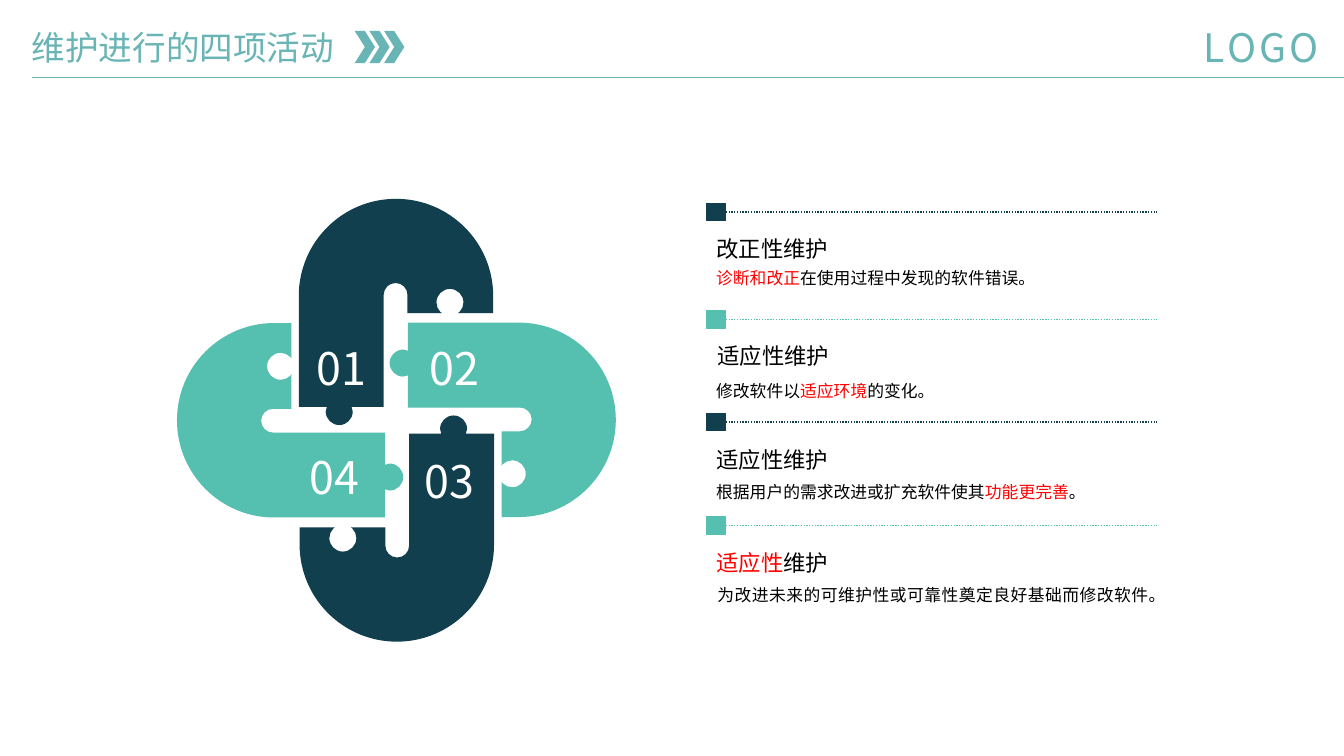
import math
from dataclasses import dataclass
from itertools import chain, pairwise

from lxml import etree
from pptx import Presentation
from pptx.dml.color import RGBColor
from pptx.enum import dml, shapes, text
from pptx.oxml import ns
from pptx.util import Cm, Pt

FONT = "Noto Sans CJK SC"
DARK, TEAL, HEADER = "113F4E", "55C0AF", "69B4B4"
BLACK, RED, WHITE = "000000", "FF0000", "FFFFFF"
Point = tuple[float, float]
Segment = tuple[Point, ...]  # one point for a line, three for a curve
Run = tuple[str, str]  # wording, colour


@dataclass
class Piece:
    number: str
    colour: str
    centre: Point
    rotation: int
    label_at: Point
    label_width: float


@dataclass
class Activity:
    colour: str
    marker_top: float
    heading_at: Point
    heading: list[Run]
    detail_at: Point
    detail: list[Run]


PIECES = [
    Piece("04", TEAL, (7.31, 10.59), 180, (7.32, 11.19), 2.24),
    Piece("01", DARK, (9.98, 7.86), 270, (7.62, 8.45), 1.98),
    Piece("02", TEAL, (12.67, 10.58), 0, (10.34, 8.45), 2.24),
    Piece("03", DARK, (10, 13.32), 90, (10.21, 11.3), 2.24),
]
ACTIVITIES = [
    Activity(DARK, 5.13, (17.81, 5.65), [("改正性维护", BLACK)],
             (17.8, 6.5), [("诊断和改正", RED), ("在使用过程中发现的软件错误。", BLACK)]),
    Activity(TEAL, 7.84, (17.83, 8.36), [("适应性维护", BLACK)],
             (17.8, 9.34), [("修改软件以", BLACK), ("适应环境", RED), ("的变化。", BLACK)]),
    Activity(DARK, 10.42, (17.81, 10.97), [("适应性维护", BLACK)],
             (17.8, 11.88), [("根据用户的需求改进或扩充软件使其", BLACK),
                             ("功能更完善", RED), ("。", BLACK)]),
    Activity(TEAL, 13.03, (17.81, 13.56), [("适应性", RED), ("维护", BLACK)],
             (17.83, 14.49), [("为改进未来的可维护性或可靠性奠定良好基础而修改软件。", BLACK)]),
]
PIECE_WIDTH, PIECE_HEIGHT = 5.7, 4.9
MARKER_WIDTH, MARKER_HEIGHT = 0.48, 0.43


def rgb(colour: str) -> RGBColor:
    return RGBColor.from_string(colour)


def paint(shape, colour: str, outline: float = 0) -> None:
    shape.shadow.inherit = False
    shape.fill.solid()
    shape.fill.fore_color.rgb = rgb(colour)
    if outline:
        shape.line.color.rgb = rgb(colour)
        shape.line.width = Pt(outline)
    else:
        shape.line.fill.background()


def write(frame, runs: list[Run], size: float, align, spacing: float = 1.0,
          tracking: float = 0) -> None:
    frame.vertical_anchor = text.MSO_ANCHOR.MIDDLE
    paragraph = frame.paragraphs[0]
    paragraph.alignment = align
    paragraph.line_spacing = spacing
    for wording, colour in runs:
        run = paragraph.add_run()
        run.text = wording
        run.font.size = Pt(size)
        run.font.name = FONT
        run.font.color.rgb = rgb(colour)
        properties = run.font._element
        etree.SubElement(properties, ns.qn("a:ea")).set("typeface", FONT)
        if tracking:
            properties.set("spc", str(round(tracking * 100)))


def add_text(slide, at: Point, width: float, height: float, runs: list[Run],
             size: float, align, spacing: float = 1.0, tracking: float = 0,
             wrap: bool = True) -> None:
    box = slide.shapes.add_textbox(Cm(at[0]), Cm(at[1]), Cm(width), Cm(height))
    box.text_frame.word_wrap = wrap
    write(box.text_frame, runs, size, align, spacing, tracking)


def add_rule(slide, start: Point, end: Point, colour: str, width: float):
    rule = slide.shapes.add_connector(
        shapes.MSO_CONNECTOR.STRAIGHT, Cm(start[0]), Cm(start[1]), Cm(end[0]), Cm(end[1]))
    rule.line.color.rgb = rgb(colour)
    rule.line.width = Pt(width)
    etree.SubElement(rule._element.spPr, ns.qn("a:effectLst"))
    return rule


def arc(x: float, y: float, radius: float, *stops: int) -> list[Segment]:
    """A line to the first angle in degrees, then one Bézier curve to each further one."""
    def at(angle: float, along: float = 0) -> Point:
        cos, sin = math.cos(angle), math.sin(angle)
        return x + radius * (cos - along * sin), y + radius * (sin + along * cos)

    angles = [math.radians(stop) for stop in stops]
    segments: list[Segment] = [(at(angles[0]),)]
    for start, end in pairwise(angles):
        pull = 4 / 3 * math.tan((end - start) / 4)
        segments.append((at(start, pull), at(end, -pull), at(end)))
    return segments


def lines(*points: Point) -> list[Segment]:
    return [(point,) for point in points]


def piece_outline() -> list[Segment]:
    socket = arc(3.09, 3.81, 0.34, 135, 90, 0, -90, -135)
    slot_end = arc(3.28, 2.44, 0.3, 90, 0, -90)
    tab = arc(0.34, 1.02, 0.34, 90, 180, 270)
    round_end = arc(3.25, 2.45, 2.45, -90, 0, 90)
    return [*lines((2.82, 4.9), (2.82, 4.01)), *socket, *lines((2.82, 3.61), (2.82, 2.74)),
            *slot_end, *lines((0.46, 2.14), (0.46, 1.33)), *tab,
            *lines((0.46, 0.71), (0.46, 0)), *round_end]


def add_piece(slide, piece: Piece) -> None:
    segments = piece_outline()
    first, *rest = [(Cm(x), Cm(y)) for x, y in chain.from_iterable(segments)]
    builder = slide.shapes.build_freeform(*first)
    builder.add_line_segments(rest, close=True)
    x, y = piece.centre
    outline = builder.convert_to_shape(Cm(x - PIECE_WIDTH / 2), Cm(y - PIECE_HEIGHT / 2))
    steps = iter(list(outline._element.iter(ns.qn("a:lnTo"))))
    for segment in segments[1:]:
        step, *others = [next(steps) for _ in segment]
        if others:
            step.tag = ns.qn("a:cubicBezTo")
        for other in others:
            step.append(other[0])
            other.getparent().remove(other)
    outline.rotation = piece.rotation
    paint(outline, piece.colour)


def add_activity(slide, activity: Activity) -> None:
    marker = slide.shapes.add_shape(shapes.MSO_SHAPE.RECTANGLE, Cm(17.81),
                                    Cm(activity.marker_top), Cm(MARKER_WIDTH), Cm(MARKER_HEIGHT))
    paint(marker, activity.colour, outline=1)
    middle = activity.marker_top + MARKER_HEIGHT / 2
    rule = add_rule(slide, (18.29, middle), (29.16, middle), activity.colour, 1)
    rule.line.dash_style = dml.MSO_LINE.ROUND_DOT
    rule.begin_connect(marker, 3)
    justify = text.PP_ALIGN.JUSTIFY
    add_text(slide, activity.heading_at, 11.38, 1.02, activity.heading, 16, justify, 1.3)
    add_text(slide, activity.detail_at, 11.38, 0.86, activity.detail, 12, justify, 1.3)


def add_header(slide) -> None:
    add_rule(slide, (0.81, 1.96), (33.87, 1.96), HEADER, 0.5)
    title = slide.shapes.title
    title.left, title.top, title.width, title.height = Cm(0.8), Cm(0.68), Cm(7.77), Cm(1.02)
    frame = title.text_frame
    frame.margin_left = frame.margin_right = frame.margin_top = frame.margin_bottom = 0
    frame.word_wrap = True
    frame.auto_size = text.MSO_AUTO_SIZE.NONE
    write(frame, [("维护进行的四项活动", HEADER)], 24, text.PP_ALIGN.LEFT)
    for i in range(3):
        chevron = slide.shapes.add_shape(shapes.MSO_SHAPE.CHEVRON, Cm(8.94 + 0.37 * i),
                                         Cm(0.78), Cm(0.51), Cm(0.81))
        paint(chevron, HEADER)
    add_text(slide, (30.08, 0.49), 3.61, 1.4, [("LOGO", HEADER)], 28,
             text.PP_ALIGN.LEFT, tracking=2.5, wrap=False)


def main() -> None:
    deck = Presentation()
    deck.slide_width, deck.slide_height = Cm(33.87), Cm(19.05)
    slide = deck.slides.add_slide(deck.slide_layouts[5])
    add_header(slide)
    for activity in ACTIVITIES:
        add_activity(slide, activity)
    for piece in PIECES:
        add_piece(slide, piece)
    for piece in PIECES:
        add_text(slide, piece.label_at, piece.label_width, 1.63,
                 [(piece.number, WHITE)], 32, text.PP_ALIGN.CENTER)
    deck.save("out.pptx")


if __name__ == "__main__":
    main()
